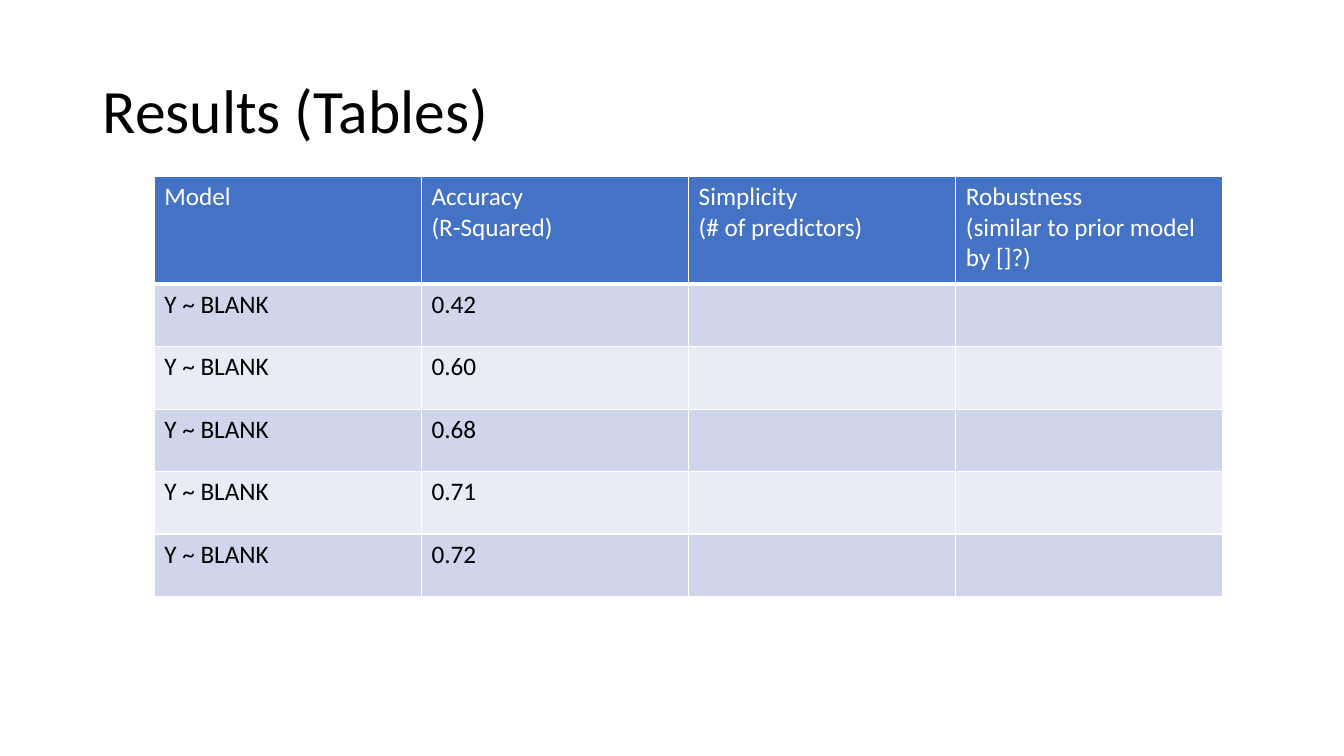
from lxml.etree import SubElement
from pptx import Presentation
from pptx.dml.color import RGBColor
from pptx.enum.text import MSO_ANCHOR
from pptx.oxml.ns import qn
from pptx.util import Pt

PX = 9144  # EMU per px, 100 px to the inch


def px(n):
    return n * PX


def rgb(value):
    return RGBColor.from_string(value)


class SlideBuilder:
    FONT = "Calibri"
    BLACK, WHITE = "000000", "FFFFFF"
    HEADER_FILL = "4472C4"
    BAND_FILLS = ("CFD5EA", "E9EBF5")

    def __init__(self, slide):
        self.slide = slide

    def style_text(self, tf, size, color):
        for p in tf.paragraphs:
            for r in p.runs:
                r.font.name = self.FONT
                r.font.size = Pt(size)
                r.font.bold = False
                r.font.color.rgb = rgb(color)

    def title(self, text, left, top, width, height):
        sp = self.slide.shapes.add_textbox(*map(px, (left, top, width, height)))
        tf = sp.text_frame
        tf.word_wrap = True
        tf.vertical_anchor = MSO_ANCHOR.MIDDLE
        tf.text = text
        tf.paragraphs[0].line_spacing = 0.9
        self.style_text(tf, 44, self.BLACK)

    def borders(self, cell, bottom):
        """Draw white lines of 1 pt, with the bottom one in its own width."""
        tc_pr = cell._tc.get_or_add_tcPr()
        for side, width in (("L", 1), ("R", 1), ("T", 1), ("B", bottom)):
            ln = SubElement(tc_pr, qn(f"a:ln{side}"), w=str(Pt(width)))
            fill = SubElement(ln, qn("a:solidFill"))
            SubElement(fill, qn("a:srgbClr"), val=self.WHITE)

    def table(self, rows, left, top, col_width, header_height, row_height):
        n_cols = len(rows[0])
        height = header_height + row_height * (len(rows) - 1)
        frame = self.slide.shapes.add_table(
            len(rows), n_cols, *map(px, (left, top, col_width * n_cols, height)))
        table = frame.table
        for column in table.columns:
            column.width = px(col_width)
        for i, values in enumerate(rows):
            header = i == 0
            table.rows[i].height = px(header_height if header else row_height)
            fill = self.HEADER_FILL if header else self.BAND_FILLS[(i - 1) % 2]
            for j, text in enumerate(values):
                cell = table.cell(i, j)
                self.borders(cell, 3 if header else 1)
                cell.fill.solid()
                cell.fill.fore_color.rgb = rgb(fill)
                if text:
                    cell.text_frame.text = text
                    self.style_text(cell.text_frame, 18,
                                    self.WHITE if header else self.BLACK)


def main():
    prs = Presentation()
    prs.slide_width, prs.slide_height = px(1333), px(750)
    s = SlideBuilder(prs.slides.add_slide(prs.slide_layouts[6]))

    header = ("Model", "Accuracy\n(R-Squared)", "Simplicity\n(# of predictors)",
              "Robustness\n(similar to prior model by []?)")
    accuracies = ("0.42", "0.60", "0.68", "0.71", "0.72")
    models = [("Y ~ BLANK", accuracy, "", "") for accuracy in accuracies]

    s.title("Results (Tables)", 92, 40, 1150, 145)
    s.table([header, *models], left=153, top=175, col_width=265,
            header_height=107, row_height=62)
    prs.save("out.pptx")


if __name__ == "__main__":
    main()
